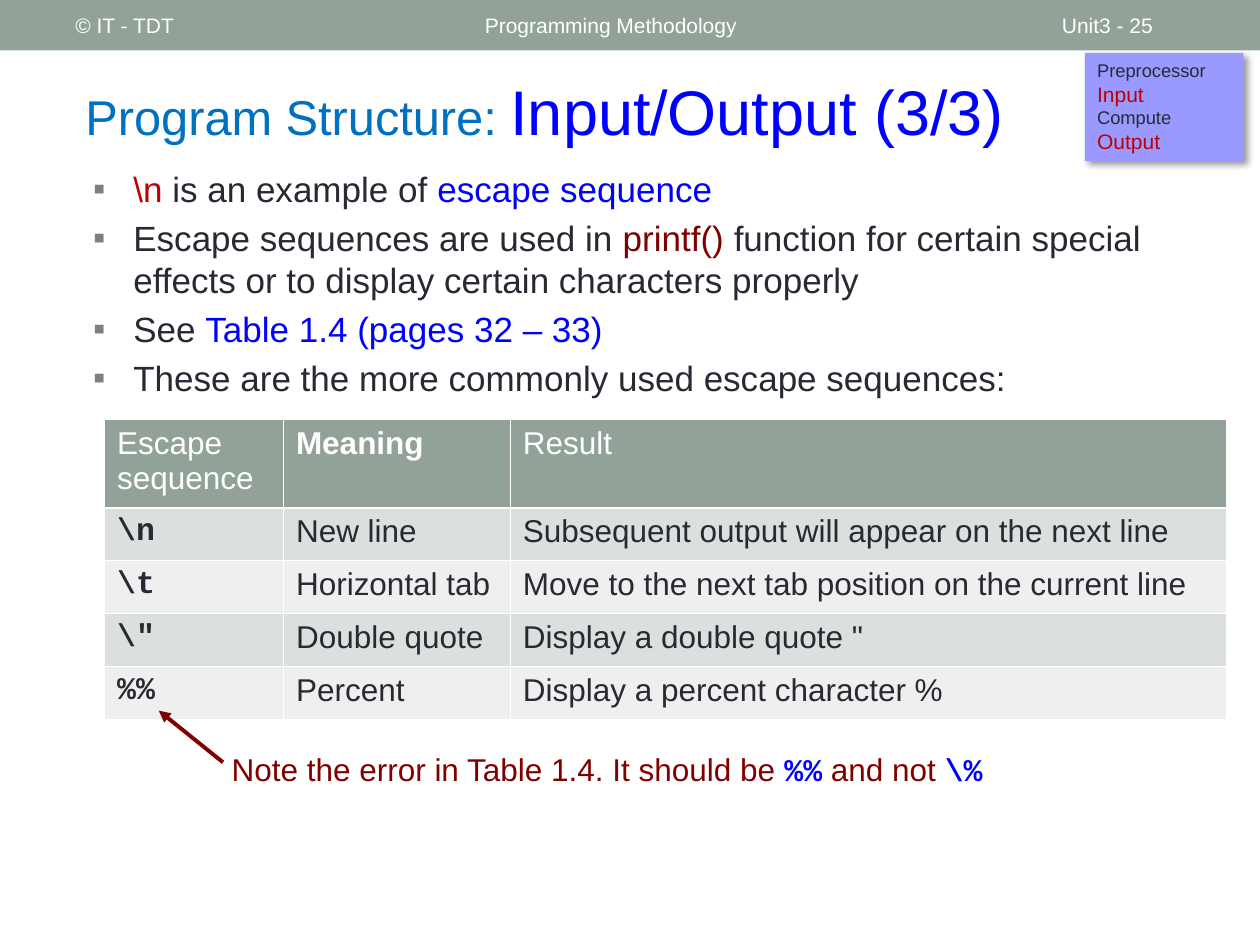
import pptx
import pptx.util
import pptx.dml.color
import pptx.enum.shapes
import pptx.enum.text
import pptx.oxml
import pptx.oxml.ns

INK, WHITE, SAGE = "292934", "FFFFFF", "93A299"
BLUE, RED, MAROON = "0000FF", "C00000", "800000"
SANS, MONO = "Arial", "Courier New"
NAMESPACE = pptx.oxml.ns.nsdecls("a")
inches = pptx.util.Inches


def color(value):
    return pptx.dml.color.RGBColor.from_string(value)


def add_run(paragraph, text, size, value, name=SANS, bold=False):
    run = paragraph.add_run()
    run.text = text
    run.font.size = pptx.util.Pt(size)
    run.font.name = name
    run.font.bold = bold
    run.font.color.rgb = color(value)


presentation = pptx.Presentation()
presentation.slide_width = inches(10)
presentation.slide_height = inches(7.5)
slide = presentation.slides.add_slide(presentation.slide_layouts[6])
shapes = slide.shapes

rectangle = pptx.enum.shapes.MSO_SHAPE.RECTANGLE
header_band = shapes.add_shape(rectangle, 0, 0, presentation.slide_width, inches(0.4))
steps_box = shapes.add_shape(rectangle, inches(8.61), inches(0.42), inches(1.26), inches(0.86))
for shape, fill in [(header_band, SAGE), (steps_box, "9999FF")]:
    shape.shadow.inherit = False
    shape.fill.solid()
    shape.fill.fore_color.rgb = color(fill)
    shape.line.fill.background()

effects = steps_box._element.spPr.find(pptx.oxml.ns.qn("a:effectLst"))
effects.append(pptx.oxml.parse_xml(
    f'<a:outerShdw {NAMESPACE} blurRad="50800" dist="38100" dir="2700000" algn="tl" rotWithShape="0">'
    '<a:srgbClr val="000000"><a:alpha val="40000"/></a:srgbClr></a:outerShdw>'))
steps_frame = steps_box.text_frame
steps_frame.vertical_anchor = pptx.enum.text.MSO_ANCHOR.TOP
steps = [("Preprocessor", 10.5, INK), ("Input", 12, RED), ("Compute", 10.5, INK), ("Output", 12, RED)]
for index, (text, size, value) in enumerate(steps):
    paragraph = steps_frame.add_paragraph() if index else steps_frame.paragraphs[0]
    paragraph.alignment = pptx.enum.text.PP_ALIGN.LEFT
    add_run(paragraph, text, size, value)

single_lines = [
    (0.5, 0.02, 3.17, 0.36, [("© IT - TDT", 12, WHITE)]),
    (3.75, 0.02, 4.5, 0.36, [("Programming Methodology", 12, WHITE)]),
    (8.33, 0.02, 1.17, 0.36, [("Unit3 - 25", 12, WHITE)]),
    (0.58, 0.5, 8.92, 0.75, [("Program Structure: ", 27.9, "0070C0"), ("Input/Output (3/3)", 36, BLUE)]),
    (1.74, 5.9, 7.03, 0.4, [
        ("Note the error in Table 1.4. It should be ", 18, MAROON),
        ("%%", 18, BLUE, MONO, True),
        (" and not ", 18, MAROON),
        ("\\%", 18, BLUE, MONO, True),
    ]),
]
for left, top, width, height, runs in single_lines:
    text_box = shapes.add_textbox(inches(left), inches(top), inches(width), inches(height))
    text_box.text_frame.word_wrap = True
    text_box.text_frame.vertical_anchor = pptx.enum.text.MSO_ANCHOR.MIDDLE
    for run in runs:
        add_run(text_box.text_frame.paragraphs[0], *run)

bullets = [
    [("\\n ", RED), ("is an example of ", INK), ("escape sequence", BLUE)],
    [("Escape sequences are used in ", INK), ("printf() ", MAROON),
     ("function for certain special effects or to display certain characters properly", INK)],
    [("See ", INK), ("Table 1.4 (pages 32 – 33)", BLUE)],
    [("These are the more commonly used escape sequences:", INK)],
]
body = shapes.add_textbox(inches(0.64), inches(1.28), inches(9), inches(2.06)).text_frame
body.word_wrap = True
for index, runs in enumerate(bullets):
    paragraph = body.add_paragraph() if index else body.paragraphs[0]
    properties = paragraph._p.get_or_add_pPr()
    properties.set("marL", str(inches(0.32)))
    properties.set("indent", str(-inches(0.32)))
    for element in ('buClr {}><a:srgbClr val="7F7F7F"/></a:buClr>', 'buFont {} typeface="Arial"/>',
                    'buChar {} char="▪"/>'):
        properties.append(pptx.oxml.parse_xml("<a:" + element.format(NAMESPACE)))
    paragraph.line_spacing = pptx.util.Pt(24)
    if index:
        paragraph.space_before = pptx.util.Pt(4)
    for text, value in runs:
        add_run(paragraph, text, 20, value)

rows = [
    ("Escape sequence", "Meaning", "Result"),
    ("\\n", "New line", "Subsequent output will appear on the next line"),
    ("\\t", "Horizontal tab", "Move to the next tab position on the current line"),
    ("\\\"", "Double quote", "Display a double quote \""),
    ("%%", "Percent", "Display a percent character %"),
]
column_widths = [1.42, 1.8, 5.69]
row_heights = [0.65] + [0.42] * 4
table = shapes.add_table(len(rows), len(column_widths), inches(0.83), inches(3.33),
                         inches(sum(column_widths)), inches(sum(row_heights))).table
for column, width in zip(table.columns, column_widths):
    column.width = inches(width)
for row_index, texts in enumerate(rows):
    table.rows[row_index].height = inches(row_heights[row_index])
    heading = row_index == 0
    fill = SAGE if heading else ("EEF0EF", "DBDFDD")[row_index % 2]
    for column_index, text in enumerate(texts):
        cell = table.cell(row_index, column_index)
        cell.fill.solid()
        cell.fill.fore_color.rgb = color(fill)
        code = column_index == 0 and not heading
        add_run(cell.text_frame.paragraphs[0], text, 18, WHITE if heading else INK,
                MONO if code else SANS, code or text == "Meaning")

arrow = shapes.add_connector(pptx.enum.shapes.MSO_CONNECTOR.STRAIGHT,
                             inches(1.77), inches(6.05), inches(1.26), inches(5.64))
arrow.line.color.rgb = color(MAROON)
arrow.line.width = pptx.util.Pt(2.25)
arrow.line._get_or_add_ln().append(pptx.oxml.parse_xml(f'<a:tailEnd {NAMESPACE} type="triangle"/>'))
arrow._element.spPr.append(pptx.oxml.parse_xml(f"<a:effectLst {NAMESPACE}/>"))

presentation.save("out.pptx")
